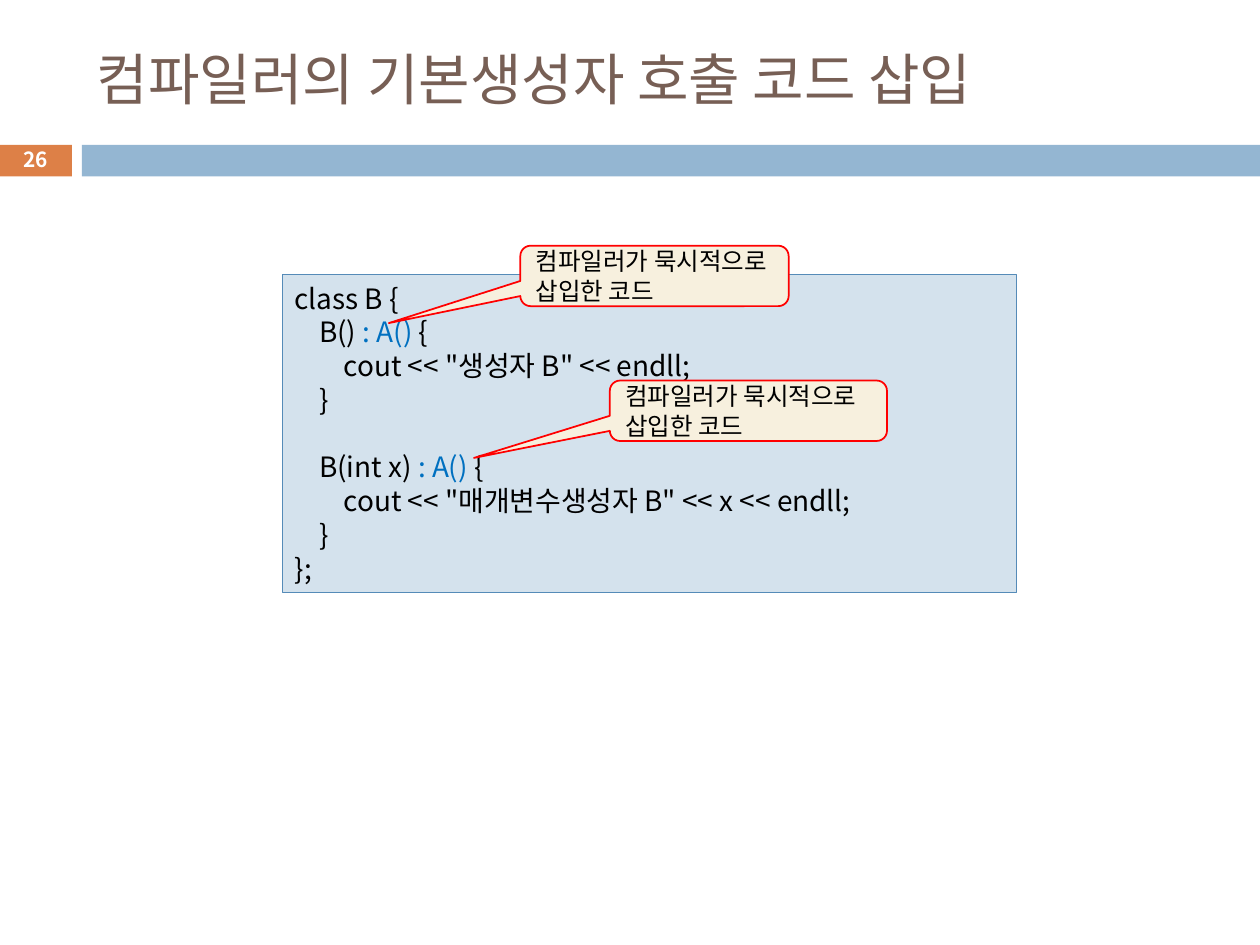
from lxml.etree import SubElement
from pptx import Presentation
from pptx.dml.color import RGBColor
from pptx.enum.shapes import MSO_SHAPE as Shape
from pptx.enum.text import MSO_ANCHOR as Anchor, PP_ALIGN as Align
from pptx.oxml.ns import qn
from pptx.util import Inches, Pt

WIDTH, HEIGHT = 10, 7.5
FONT = "Noto Sans CJK KR"
COLORS = {
    "title": "775F55", "orange": "DD8047", "band": "94B6D2",
    "white": "FFFFFF", "black": "000000", "call": "0070C0",
    "code_fill": "D4E2ED", "code_line": "558BB8",
    "note_fill": "F7F0DE", "note_line": "FF0000",
}
TAB_STEP = 0.195
INSERTED = ": A() "
CODE = [
    "class B {",
    "\tB() : A() {",
    "\t\tcout << \"생성자 B\" << endll;",
    "\t}",
    "",
    "\tB(int x) : A() {",
    "\t\tcout << \"매개변수생성자 B\" << x << endll;",
    "\t}",
    "};",
]
NOTE = "컴파일러가 묵시적으로 삽입한 코드"


def color(name):
    return RGBColor.from_string(COLORS[name])


def place(left, top, width, height):
    shares = (left * WIDTH, top * HEIGHT, width * WIDTH, height * HEIGHT)
    return [Inches(round(length, 2)) for length in shares]


def style_run(run, size, ink, bold=False):
    run.font.size = Pt(size)
    run.font.bold = bold
    run.font.name = FONT
    run.font.color.rgb = color(ink)
    SubElement(run.font._element, qn("a:ea"), typeface=FONT)


def add_panel(slide, kind, box, fill, line=None, weight=1):
    panel = slide.shapes.add_shape(kind, *place(*box))
    panel.shadow.inherit = False
    panel.fill.solid()
    panel.fill.fore_color.rgb = color(fill)
    if line:
        panel.line.color.rgb = color(line)
        panel.line.width = Pt(weight)
    else:
        panel.line.fill.background()
    return panel


def write_line(shape, text, size, ink, align=Align.LEFT, bold=False):
    frame = shape.text_frame
    frame.word_wrap = True
    frame.vertical_anchor = Anchor.MIDDLE
    frame.text = text
    sentence = frame.paragraphs[0]
    sentence.alignment = align
    style_run(sentence.runs[0], size, ink, bold)
    return sentence


def add_label(slide, box, text, size, ink, **options):
    label = slide.shapes.add_textbox(*place(*box))
    write_line(label, text, size, ink, **options)


def add_tab_stops(paragraph):
    tabs = SubElement(paragraph._p.get_or_add_pPr(), qn("a:tabLst"))
    for level in (1, 2):
        SubElement(tabs, qn("a:tab"), pos=str(Inches(level * TAB_STEP)), algn="l")


def add_code(slide, box):
    listing = add_panel(slide, Shape.RECTANGLE, box, "code_fill", "code_line", 0.75)
    frame = listing.text_frame
    frame.word_wrap = True
    frame.vertical_anchor = Anchor.TOP
    for number, statement in enumerate(CODE):
        row = frame.add_paragraph() if number else frame.paragraphs[0]
        add_tab_stops(row)
        row.alignment = Align.LEFT
        row.line_spacing = Pt(19.3)
        row.font.size = Pt(16)
        before, inserted, after = statement.partition(INSERTED)
        for part, ink in ((before, "black"), (inserted, "call"), (after, "black")):
            if part:
                run = row.add_run()
                run.text = part
                style_run(run, 16, ink)


def add_note(slide, box):
    note = add_panel(slide, Shape.ROUNDED_RECTANGULAR_CALLOUT, box,
                     "note_fill", "note_line")
    for index, value in enumerate((-0.99, 0.78, 0.17)):
        note.adjustments[index] = value
    write_line(note, NOTE, 14, "black").line_spacing = Pt(16.7)


def main():
    deck = Presentation()
    deck.slide_width, deck.slide_height = Inches(WIDTH), Inches(HEIGHT)
    slide = deck.slides.add_slide(deck.slide_layouts[6])

    add_panel(slide, Shape.RECTANGLE, (-0.001, 0.153, 0.058, 0.033), "orange")
    add_panel(slide, Shape.RECTANGLE, (0.065, 0.153, 0.935, 0.033), "band")
    add_label(slide, (0.067, 0.033, 0.892, 0.099),
              "컴파일러의 기본생성자 호출 코드 삽입", 32, "title")
    add_label(slide, (-0.001, 0.151, 0.058, 0.036), "26", 11.9, "white",
              align=Align.CENTER, bold=True)
    add_code(slide, (0.224, 0.291, 0.583, 0.336))
    for box in ((0.413, 0.26, 0.213, 0.064), (0.484, 0.403, 0.22, 0.064)):
        add_note(slide, box)

    deck.save("out.pptx")


if __name__ == "__main__":
    main()
